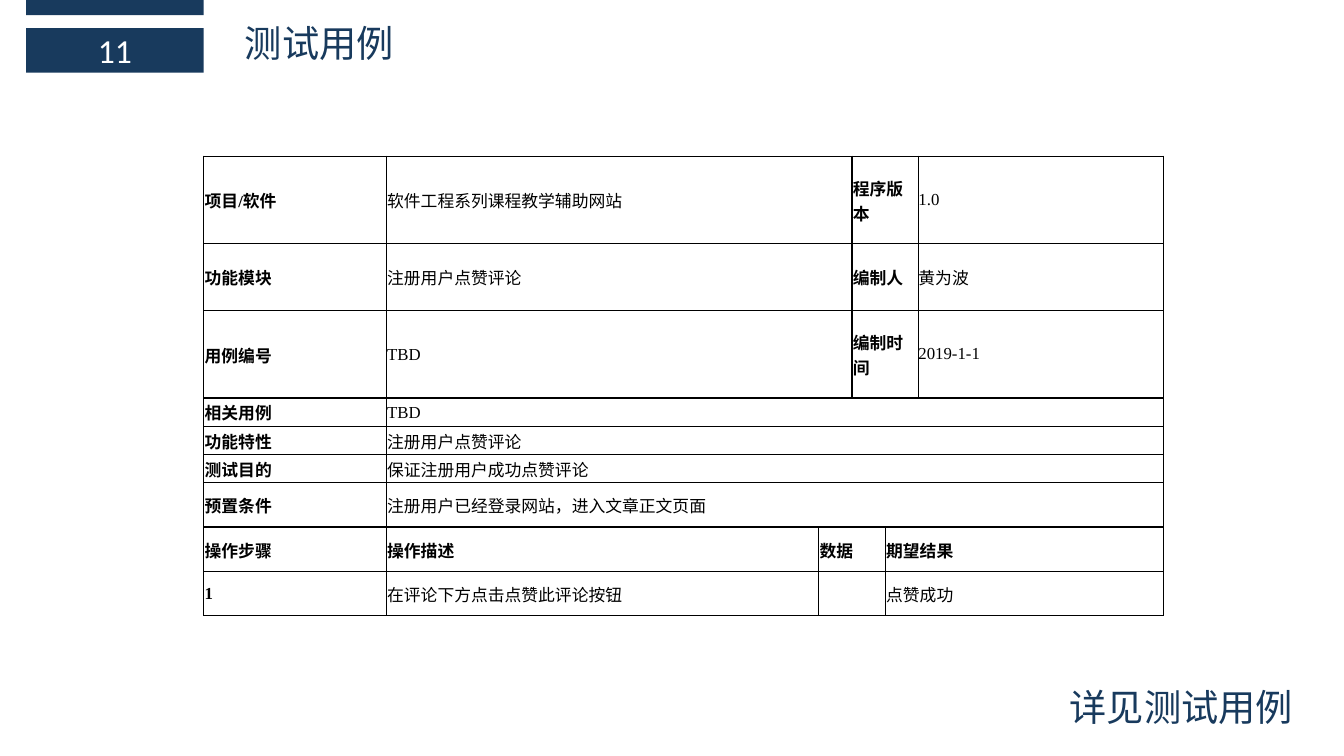
from lxml.etree import SubElement
from pptx import Presentation
from pptx.dml.color import RGBColor
from pptx.enum.shapes import MSO_SHAPE
from pptx.enum.text import MSO_ANCHOR, PP_ALIGN
from pptx.oxml.ns import qn
from pptx.util import Pt

PX = 9144
NAVY, BLACK, WHITE = "183A5D", "000000", "FFFFFF"


def rgb(color):
    return RGBColor.from_string(color)


def style(p, size, name, color, bold=False):
    for r in p.runs:
        r.font.size = Pt(size)
        r.font.name = name
        r.font.bold = bold
        r.font.color.rgb = rgb(color)


prs = Presentation()
prs.slide_width = 1333 * PX
prs.slide_height = 750 * PX
s = prs.slides.add_slide(prs.slide_layouts[6])

for top, height, text in [(0, 15, ""), (28, 44, "11")]:
    sp = s.shapes.add_shape(MSO_SHAPE.RECTANGLE, 26 * PX, top * PX, 176 * PX, height * PX)
    sp.shadow.inherit = False
    sp.fill.solid()
    sp.fill.fore_color.rgb = rgb(NAVY)
    sp.line.fill.background()
    tf = sp.text_frame
    tf.text = text
    tf.vertical_anchor = MSO_ANCHOR.MIDDLE
    p = tf.paragraphs[0]
    p.alignment = PP_ALIGN.CENTER
    style(p, 24, "Calibri", WHITE)

for left, top, width, text in [(233, 15, 197, "测试用例"), (1051, 674, 283, "详见测试用例")]:
    tf = s.shapes.add_textbox(left * PX, top * PX, width * PX, 55 * PX).text_frame
    tf.word_wrap = True
    tf.text = text
    style(tf.paragraphs[0], 26.6, "Noto Sans CJK SC", NAVY)

cols = [181, 429, 33, 33, 33, 243]
heights = [87, 66, 87, 28, 28, 28, 44, 44, 44]
info, wide, steps = [1, 2, 2, 1], [1, 5], [1, 1, 2, 2]
label_value, all_bold = [True, False, True, False], [True] * 4
rows = [
    (info, label_value, ["项目/软件", "软件工程系列课程教学辅助网站", "程序版本", "1.0"]),
    (info, label_value, ["功能模块", "注册用户点赞评论", "编制人", "黄为波"]),
    (info, label_value, ["用例编号", "TBD", "编制时间", "2019-1-1"]),
    (wide, label_value, ["相关用例", "TBD"]),
    (wide, label_value, ["功能特性", "注册用户点赞评论"]),
    (wide, label_value, ["测试目的", "保证注册用户成功点赞评论"]),
    (wide, label_value, ["预置条件", "注册用户已经登录网站，进入文章正文页面"]),
    (steps, all_bold, ["操作步骤", "操作描述", "数据", "期望结果"]),
    (steps, label_value, ["1", "在评论下方点击点赞此评论按钮", "", "点赞成功"]),
]
table = s.shapes.add_table(len(rows), len(cols), 202 * PX, 155 * PX,
                           sum(cols) * PX, sum(heights) * PX).table
table.first_row = False
table.horz_banding = False
for col, width in zip(table.columns, cols):
    col.width = width * PX
for row, height in zip(table.rows, heights):
    row.height = height * PX

for cell in table.iter_cells():
    cell.margin_left = cell.margin_top = cell.margin_right = PX
    cell.margin_bottom = 0
    cell.vertical_anchor = MSO_ANCHOR.MIDDLE
    tcPr = cell._tc.get_or_add_tcPr()
    for side in ("a:lnL", "a:lnR", "a:lnT", "a:lnB"):
        ln = SubElement(tcPr, qn(side), w=str(Pt(1)))
        SubElement(SubElement(ln, qn("a:solidFill")), qn("a:srgbClr"), val=BLACK)
    cell.fill.background()

for i, (spans, bolds, texts) in enumerate(rows):
    j = 0
    for span, bold, text in zip(spans, bolds, texts):
        cell = table.cell(i, j)
        if span > 1:
            cell.merge(table.cell(i, j + span - 1))
        elif j == len(cols) - 1:
            cell.margin_left = cell.margin_top = cell.margin_right = 0
        p = cell.text_frame.paragraphs[0]
        p.text = text
        font = "Arial" if text == "用例编号" else "Times New Roman"
        style(p, 12, font, BLACK, bold)
        j += span

prs.save("out.pptx")
